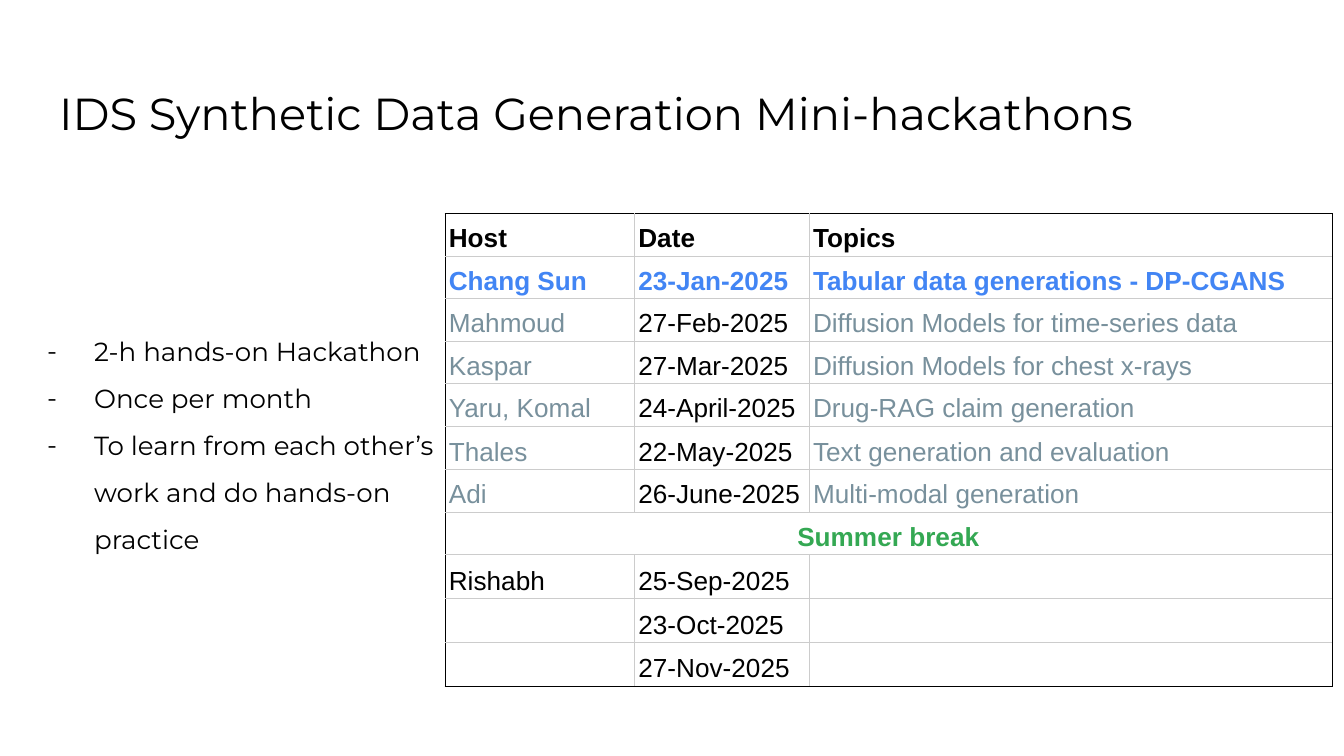
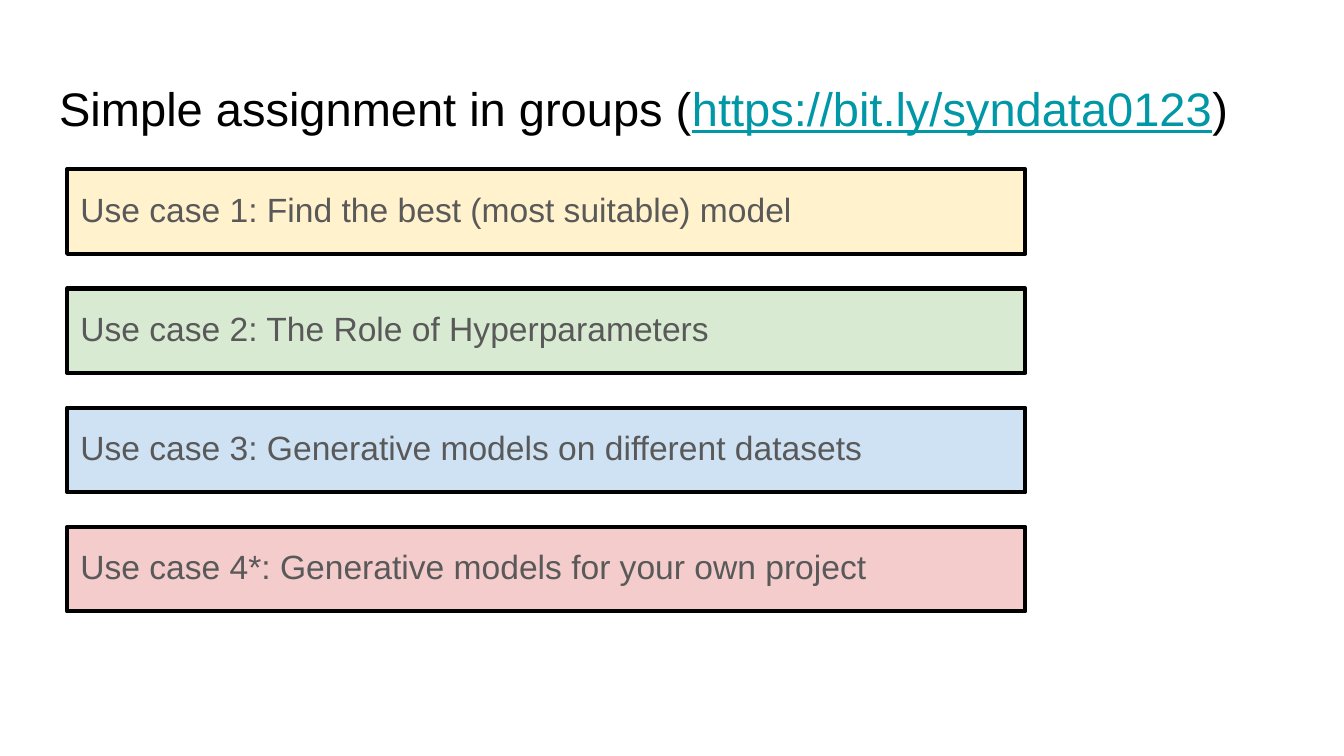
from lxml import etree
from pptx import Presentation
from pptx import util as u
from pptx.dml.color import RGBColor
from pptx.enum import shapes, text
from pptx.oxml.ns import qn

WIDTH = 10
HEIGHT = WIDTH * 9 / 16
BLACK, GRID, TEAL, BODY = "000000", "CCCCCC", "0097A7", "595959"
BLUE, SLATE, GREEN = "4285F4", "78909C", "34A853"

GOALS = ["2-h hands-on Hackathon", "Once per month",
         "To learn from each other’s work and do hands-on practice"]
SCHEDULE = [
    ("Host", "Date", "Topics"),
    ("Chang Sun", "23-Jan-2025", "Tabular data generations - DP-CGANS"),
    ("Mahmoud", "27-Feb-2025", "Diffusion Models for time-series data"),
    ("Kaspar", "27-Mar-2025", "Diffusion Models for chest x-rays"),
    ("Yaru, Komal", "24-April-2025", "Drug-RAG claim generation"),
    ("Thales", "22-May-2025", "Text generation and evaluation"),
    ("Adi", "26-June-2025", "Multi-modal generation"),
    ("Summer break",),
    ("Rishabh", "25-Sep-2025", ""),
    ("", "23-Oct-2025", ""),
    ("", "27-Nov-2025", ""),
]
BREAK_ROW = 7
TALL_ROWS = (5, 8, 9, 10)
ROW_PT, TALL_ROW_PT = 22.75, 23.5
COLUMNS = [1.41, 1.3, 3.89]
USE_CASES = [
    ("Use case 1: Find the best (most suitable) model", "FFF2CC"),
    ("Use case 2: The Role of Hyperparameters", "D9EAD3"),
    ("Use case 3: Generative models on different datasets", "CFE2F3"),
    ("Use case 4*: Generative models for your own project", "F4CCCC"),
]


def rgb(value):
    return RGBColor.from_string(value)


def write(p, content, size=14, font="Arial", color=BLACK, bold=False,
          underline=False, align=text.PP_ALIGN.LEFT, spacing=1.0, after=0):
    """Add one formatted run to a paragraph."""
    p.alignment, p.line_spacing = align, spacing
    p.space_before, p.space_after = u.Pt(0), u.Pt(after)
    r = p.add_run()
    r.text = content
    f = r.font
    f.size, f.name, f.bold, f.underline = u.Pt(size), font, bold, underline
    f.color.rgb = rgb(color)


def place(sp, left, top, width, height):
    """Set a shape's box and the common text frame settings."""
    sp.left, sp.top, sp.width, sp.height = map(u.Inches, (left, top, width, height))
    tf = sp.text_frame
    tf.word_wrap, tf.auto_size = True, text.MSO_AUTO_SIZE.NONE
    tf.vertical_anchor = text.MSO_ANCHOR.TOP
    tf.margin_left = tf.margin_right = tf.margin_top = tf.margin_bottom = u.Inches(0.1)
    return tf


def dash(p):
    """Give a paragraph a hanging dash as its bullet."""
    pPr = p._p.get_or_add_pPr()
    pPr.set("marL", str(u.Inches(0.5)))
    pPr.set("indent", str(u.Inches(-0.35)))
    clr = etree.SubElement(pPr, qn("a:buClr"))
    etree.SubElement(clr, qn("a:srgbClr"), val=BLACK)
    etree.SubElement(pPr, qn("a:buFont"), typeface="Montserrat")
    etree.SubElement(pPr, qn("a:buChar"), char="-")


def border(cell, **sides):
    tcPr = cell._tc.get_or_add_tcPr()
    for side in "LRTB":
        ln = etree.SubElement(tcPr, qn("a:ln" + side), w=str(u.Pt(0.42)))
        fill = etree.SubElement(ln, qn("a:solidFill"))
        etree.SubElement(fill, qn("a:srgbClr"), val=sides[side])


def cell_style(row, col):
    if row == 0:
        return dict(bold=True)
    if row == 1:
        return dict(bold=True, color=BLUE)
    if row == BREAK_ROW:
        return dict(bold=True, color=GREEN, align=text.PP_ALIGN.CENTER)
    return dict(color=SLATE if row < BREAK_ROW and col != 1 else BLACK)


def add_schedule(slide, left, top):
    rows, cols = len(SCHEDULE), len(COLUMNS)
    heights = [u.Pt(TALL_ROW_PT if i in TALL_ROWS else ROW_PT) for i in range(rows)]
    table = slide.shapes.add_table(
        rows, cols, u.Inches(left), u.Inches(top),
        u.Inches(sum(COLUMNS)), sum(heights)).table
    table.first_row = table.horz_banding = False
    for column, width in zip(table.columns, COLUMNS):
        column.width = u.Inches(width)
    for i, entries in enumerate(SCHEDULE):
        table.rows[i].height = heights[i]
        for j in range(cols):
            cell = table.cell(i, j)
            cell.margin_left = cell.margin_right = u.Inches(0.03)
            cell.margin_top = cell.margin_bottom = u.Inches(0.02)
            cell.vertical_anchor = text.MSO_ANCHOR.BOTTOM
            border(cell, L=BLACK if j == 0 else GRID,
                   R=BLACK if j == cols - 1 or i == BREAK_ROW else GRID,
                   T=BLACK if i == 0 else GRID,
                   B=BLACK if i == rows - 1 else GRID)
            cell.fill.background()
            p = cell.text_frame.paragraphs[0]
            if j < len(entries) and entries[j]:
                write(p, entries[j], spacing=1.15, **cell_style(i, j))
            else:
                etree.SubElement(p._p, qn("a:endParaRPr"), sz="1400")
    table.cell(BREAK_ROW, 0).merge(table.cell(BREAK_ROW, cols - 1))


def hackathon_slide(prs):
    s = prs.slides.add_slide(prs.slide_layouts[1])
    tf = place(s.shapes.title, 0.34, 0.54, 9.31, 0.67)
    write(tf.paragraphs[0], "IDS Synthetic Data Generation Mini-hackathons",
          size=24, font="Montserrat")
    add_schedule(s, 3.31, 1.59)
    tf = place(s.placeholders[1], 0.1, 2.28, 3.33, 1.96)
    for i, goal in enumerate(GOALS):
        p = tf.add_paragraph() if i else tf.paragraphs[0]
        dash(p)
        write(p, goal, font="Montserrat", spacing=1.5)


def assignment_slide(prs):
    s = prs.slides.add_slide(prs.slide_layouts[5])
    tf = place(s.shapes.title, 0.34, 0.49, 9.32, 0.63)
    p = tf.paragraphs[0]
    write(p, "Simple assignment in groups (", size=25.2)
    write(p, "https://bit.ly/syndata0123", size=25.2, color=TEAL, underline=True)
    write(p, ")", size=25.2)
    first, last = 1.26, 3.92
    pitch = (last - first) / (len(USE_CASES) - 1)
    for i, (label, fill) in enumerate(USE_CASES):
        sp = s.shapes.add_shape(shapes.MSO_SHAPE.RECTANGLE, 0, 0, 0, 0)
        tf = place(sp, 0.5, first + i * pitch, 7.13, 0.63)
        sp.shadow.inherit = False
        sp.fill.solid()
        sp.fill.fore_color.rgb = rgb(fill)
        sp.line.color.rgb = rgb(BLACK)
        sp.line.width = u.Pt(2.25)
        write(tf.paragraphs[0], label, size=18, color=BODY, spacing=1.15, after=12)


def main():
    prs = Presentation()
    prs.slide_width, prs.slide_height = u.Inches(WIDTH), u.Inches(HEIGHT)
    hackathon_slide(prs)
    assignment_slide(prs)
    prs.save("out.pptx")


if __name__ == "__main__":
    main()
